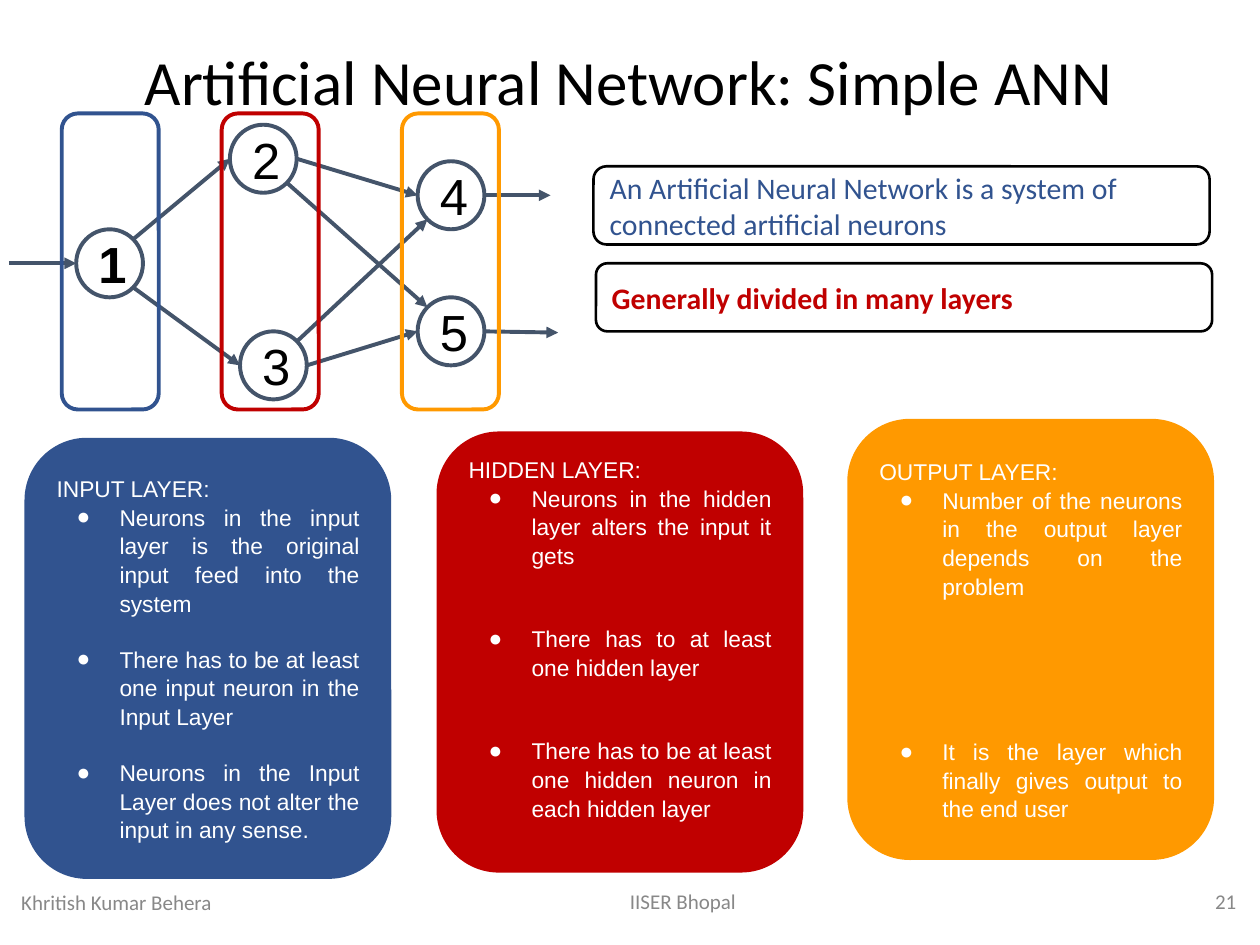
from lxml.etree import SubElement
from pptx import Presentation
from pptx.dml.color import RGBColor
from pptx.enum.shapes import MSO_CONNECTOR as Connector, MSO_SHAPE as Shape
from pptx.enum.text import MSO_ANCHOR as Anchor, MSO_AUTO_SIZE as AutoSize, PP_ALIGN as Align
from pptx.oxml.ns import qn
from pptx.util import Inches, Pt

BLACK = RGBColor(0x00, 0x00, 0x00)
WHITE = RGBColor(0xFF, 0xFF, 0xFF)
GREY = RGBColor(0x88, 0x88, 0x88)
SLATE = RGBColor(0x44, 0x54, 0x6A)
BLUE = RGBColor(0x31, 0x53, 0x8F)
RED = RGBColor(0xC0, 0x00, 0x00)
ORANGE = RGBColor(0xFF, 0x99, 0x00)

NODE_W, NODE_H = 0.53, 0.54
DIAGONAL = 0.707
LINE_PITCH = 15.6
SIDES = {
    "left": (-1, 0),
    "right": (1, 0),
    "upper right": (DIAGONAL, -DIAGONAL),
    "lower right": (DIAGONAL, DIAGONAL),
    "upper left": (-DIAGONAL, -DIAGONAL),
    "lower left": (-DIAGONAL, DIAGONAL),
}


def node_point(centre, side):
    dx, dy = SIDES[side]
    return centre[0] + dx * NODE_W / 2, centre[1] + dy * NODE_H / 2


class NetworkSlide:
    heading_font = "Calibri"
    body_font = "Arial"
    line_width = Pt(2.25)

    def __init__(self, presentation):
        self.slide = presentation.slides.add_slide(presentation.slide_layouts[5])
        self.shapes = self.slide.shapes

    def style(self, paragraph, size, color, font, align=Align.LEFT, bold=False):
        paragraph.alignment = align
        for run in paragraph.runs:
            run.font.size = Pt(size)
            run.font.name = font
            run.font.bold = bold
            run.font.color.rgb = color

    def title(self, text, left, top, width, height):
        heading = self.shapes.title
        heading.left, heading.top = Inches(left), Inches(top)
        heading.width, heading.height = Inches(width), Inches(height)
        frame = heading.text_frame
        frame.text = text
        frame.auto_size = AutoSize.NONE
        self.style(frame.paragraphs[0], 36, BLACK, self.heading_font, Align.CENTER)

    def footer(self, text, left, top, width, align):
        frame = self.shapes.add_textbox(
            Inches(left), Inches(top), Inches(width), Inches(0.4)).text_frame
        frame.word_wrap = True
        frame.vertical_anchor = Anchor.MIDDLE
        frame.text = text
        self.style(frame.paragraphs[0], 12, GREY, self.heading_font, align)

    def outline(self, kind, left, top, width, height, line, fill=None):
        shape = self.shapes.add_shape(
            kind, Inches(left), Inches(top), Inches(width), Inches(height))
        shape.shadow.inherit = False
        if fill is None:
            shape.fill.background()
        else:
            shape.fill.solid()
            shape.fill.fore_color.rgb = fill
        shape.line.color.rgb = line
        shape.line.width = self.line_width
        frame = shape.text_frame
        frame.margin_left = frame.margin_right = Inches(0.1)
        frame.margin_top = frame.margin_bottom = Inches(0.1)
        frame.vertical_anchor = Anchor.MIDDLE
        return shape

    def neuron(self, label, centre):
        x, y = centre
        circle = self.outline(
            Shape.OVAL, x - NODE_W / 2, y - NODE_H / 2, NODE_W, NODE_H, SLATE)
        circle.text_frame.text = label
        self.style(circle.text_frame.paragraphs[0], 29, BLACK, self.body_font,
                   Align.CENTER, bold=label == "1")

    def arrow(self, start, end):
        link = self.shapes.add_connector(
            Connector.STRAIGHT, *(Inches(value) for value in (*start, *end)))
        link.line.color.rgb = SLATE
        link.line.width = self.line_width
        SubElement(link.line._get_or_add_ln(), qn("a:tailEnd"), type="triangle")
        SubElement(link._element.spPr, qn("a:effectLst"))

    def statement(self, text, left, top, height, color, bold):
        box = self.outline(
            Shape.ROUNDED_RECTANGLE, left, top, 4.89, height, BLACK, WHITE)
        box.line.width = Pt(1.5)
        box.text_frame.text = text
        self.style(box.text_frame.paragraphs[0], 17, color, self.heading_font, bold=bold)

    def layer_frame(self, left, color):
        self.outline(Shape.ROUNDED_RECTANGLE, left, 0.9, 0.77, 2.35, color)

    def layer_card(self, heading, points, gap_lines, left, top, color, bottom=0.1):
        card = self.outline(
            Shape.ROUNDED_RECTANGLE, left, top, 2.88, 3.47, color, color)
        frame = card.text_frame
        frame.margin_bottom = Inches(bottom)
        frame.text = "\n".join([heading, *points])
        for index, paragraph in enumerate(frame.paragraphs):
            paragraph.line_spacing = 1.05
            if index > 1:
                paragraph.space_before = Pt(gap_lines * LINE_PITCH)
            if index:
                self.bullet(paragraph)
            self.style(paragraph, 13, WHITE, self.body_font, Align.JUSTIFY)

    def bullet(self, paragraph):
        properties = paragraph._p.get_or_add_pPr()
        properties.set("marL", str(Inches(0.5)))
        properties.set("indent", str(Inches(-0.34)))
        color = SubElement(properties, qn("a:buClr"))
        SubElement(color, qn("a:srgbClr"), val=str(WHITE))
        SubElement(properties, qn("a:buFont"), typeface=self.body_font)
        SubElement(properties, qn("a:buChar"), char="●")


def main():
    presentation = Presentation()
    presentation.slide_width, presentation.slide_height = Inches(10), Inches(7.5)
    page = NetworkSlide(presentation)

    page.title("Artificial Neural Network: Simple ANN", 0.07, 0.28, 9.84, 0.71)
    page.footer("IISER Bhopal", 3.73, 6.95, 3.38, Align.CENTER)
    page.footer("21", 7.66, 6.95, 2.25, Align.RIGHT)
    page.footer("Khritish Kumar Behera", 0.07, 6.96, 3.38, Align.LEFT)

    neurons = {
        "1": (0.87, 2.09),
        "2": (2.09, 1.26),
        "3": (2.17, 2.9),
        "4": (3.58, 1.55),
        "5": (3.58, 2.63),
    }
    for label, centre in neurons.items():
        page.neuron(label, centre)

    synapses = [
        ("1", "upper right", "2", "left"),
        ("1", "lower right", "3", "left"),
        ("2", "lower right", "5", "upper left"),
        ("2", "right", "4", "left"),
        ("3", "upper right", "4", "lower left"),
        ("3", "right", "5", "left"),
    ]
    for source, exit_side, target, entry_side in synapses:
        page.arrow(node_point(neurons[source], exit_side),
                   node_point(neurons[target], entry_side))
    page.arrow((0.07, 2.09), node_point(neurons["1"], "left"))
    page.arrow(node_point(neurons["4"], "right"), (4.37, 1.55))
    page.arrow(node_point(neurons["5"], "right"), (4.43, 2.64))

    page.statement(
        "An Artificial Neural Network is a system of connected artificial neurons",
        4.71, 1.32, 0.62, BLUE, False)
    page.statement("Generally divided in many layers", 4.73, 2.09, 0.54, RED, True)

    for left, color in ((1.76, RED), (0.49, BLUE), (3.19, ORANGE)):
        page.layer_frame(left, color)

    page.layer_card("INPUT LAYER:", [
        "Neurons in the input layer is the original input feed into the system",
        "There has to be at least one input neuron in the Input Layer",
        "Neurons in the Input Layer does not alter the input in any sense.",
    ], 1, 0.21, 3.49, BLUE)
    page.layer_card("HIDDEN LAYER:", [
        "Neurons in the hidden layer alters the input it gets",
        "There has to at least one hidden layer",
        "There has to be at least one hidden neuron in each hidden layer",
    ], 2, 3.48, 3.44, RED, bottom=0.32)
    page.layer_card("OUTPUT LAYER:", [
        "Number of the neurons in the output layer depends on the problem",
        "It is the layer which finally gives output to the end user",
    ], 5, 6.74, 3.34, ORANGE)

    presentation.save("out.pptx")


if __name__ == "__main__":
    main()
